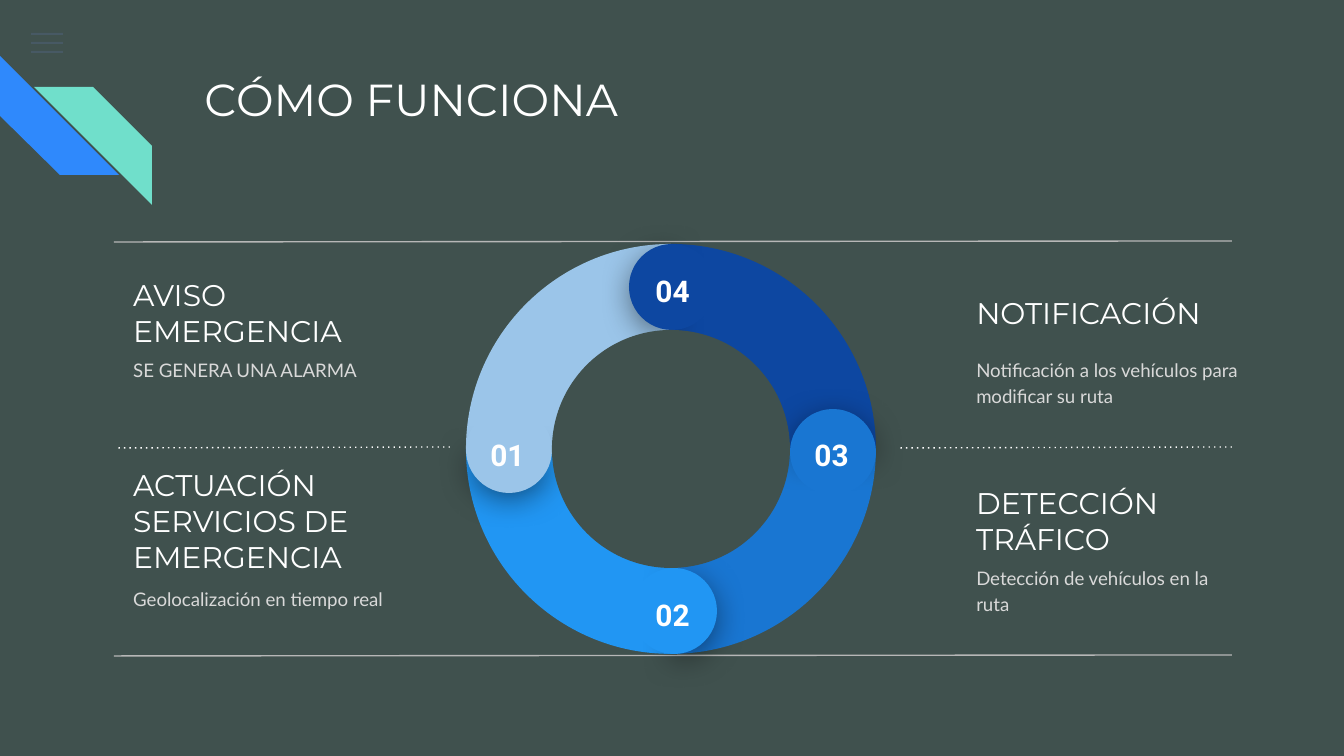
"""Build the "Cómo funciona" slide: a four-step ring with its descriptions."""
from math import cos, radians, sin, tan
from typing import NamedTuple

from lxml import etree
from pptx import Presentation
from pptx.dml.color import RGBColor
from pptx.enum.dml import MSO_LINE
from pptx.enum.shapes import MSO_CONNECTOR, MSO_SHAPE
from pptx.enum.text import MSO_ANCHOR, MSO_AUTO_SIZE, PP_ALIGN
from pptx.oxml.ns import qn
from pptx.util import Pt

PX = 914400 / 134.4
OVAL, RECTANGLE = MSO_SHAPE.OVAL, MSO_SHAPE.RECTANGLE
STRAIGHT, DOT = MSO_CONNECTOR.STRAIGHT, MSO_LINE.ROUND_DOT
TOP, MIDDLE = MSO_ANCHOR.TOP, MSO_ANCHOR.MIDDLE
LEFT, CENTER = PP_ALIGN.LEFT, PP_ALIGN.CENTER
COLORS = {
    "background": "40514E", "white": "FFFFFF", "body": "D9D9D9",
    "rule": "B7B7B7", "menu": "55688B", "blue": "2F89FC", "mint": "70DFCB",
    "01": "9BC5E9", "02": "2196F3", "03": "1976D2", "04": "0D47A1",
}
RING_CENTER, RING_RADIUS = (671, 449), 205
CAP_RADIUS, SHADOW_RADIUS, HOLE_RADIUS = 43, 40, 119


class TextStyle(NamedTuple):
    size: int
    font: str
    color: str
    anchor: MSO_ANCHOR = TOP
    align: PP_ALIGN = LEFT
    bold: bool = False
    spacing: float = 1.0


class Label(NamedTuple):
    text: str
    box: tuple[int, int, int, int]
    style: TextStyle


class Rule(NamedTuple):
    start: tuple[int, int]
    end: tuple[int, int]
    color: str
    dotted: bool = False


class Segment(NamedTuple):
    number: str
    start_angle: int
    cap_center: tuple[int, int]
    label_corner: tuple[int, int]


TITLE = TextStyle(24, "Montserrat", "white")
HEADING = TextStyle(16, "Montserrat", "white", MIDDLE)
BODY = TextStyle(10, "Lato", "body", spacing=1.15)
NUMBER = TextStyle(16, "Roboto", "white", align=CENTER, bold=True)

LABELS = [
    Label("AVISO EMERGENCIA", (120, 282, 334, 62), HEADING),
    Label("ACTUACIÓN SERVICIOS DE EMERGENCIA", (120, 454, 334, 133), HEADING),
    Label("NOTIFICACIÓN", (963, 282, 328, 62), HEADING),
    Label("DETECCIÓN TRÁFICO", (963, 472, 223, 98), HEADING),
    Label("SE GENERA UNA ALARMA", (120, 342, 293, 50), BODY),
    Label("Geolocalización en tiempo real", (120, 571, 293, 50), BODY),
    Label("Notificación a los vehículos para modificar su ruta", (963, 342, 293, 75), BODY),
    Label("Detección de vehículos en la ruta", (963, 550, 293, 75), BODY),
]
RULES = [
    Rule((1232, 241), (114, 242), "rule"),
    Rule((450, 447), (115, 448), "white", True),
    Rule((1232, 447), (897, 448), "white", True),
    Rule((1232, 655), (114, 656), "rule"),
]
SEGMENTS = [
    Segment("01", 180, (509, 450), (470, 423)),
    Segment("04", 270, (672, 287), (635, 259)),
    Segment("03", 0, (833, 452), (794, 423)),
    Segment("02", 90, (674, 611), (635, 583)),
]


def emu(*lengths: float) -> list[int]:
    """Turn px lengths into EMU."""
    return [round(length * PX) for length in lengths]


def rgb(name: str) -> RGBColor:
    """Look a colour up by name."""
    return RGBColor.from_string(COLORS[name])


def paint(shape, color: str) -> None:
    """Give a shape a flat fill without outline or shadow."""
    shape.shadow.inherit = False
    shape.fill.solid()
    shape.fill.fore_color.rgb = rgb(color)
    shape.line.fill.background()


def add_preset(slide, kind: MSO_SHAPE, box: tuple[int, int, int, int], color: str):
    """Add a flat preset shape."""
    shape = slide.shapes.add_shape(kind, *emu(*box))
    paint(shape, color)
    return shape


def add_disc(slide, center: tuple[int, int], radius: int, color: str) -> None:
    """Add a circle around a centre."""
    x, y = center
    add_preset(slide, OVAL, (x - radius, y - radius, 2 * radius, 2 * radius), color)


def add_outline(slide, points: list[tuple[float, float]], color: str, curves: int = 0):
    """Add a closed flat outline whose first sides may be Bézier curves."""
    first, *others = [emu(*point) for point in points]
    builder = slide.shapes.build_freeform(*first, scale=1.0)
    builder.add_line_segments(others, close=True)
    shape = builder.convert_to_shape()
    paint(shape, color)
    sides = shape._element.findall(".//" + qn("a:lnTo"))
    for index in range(curves):
        group = sides[3 * index:3 * index + 3]
        curve = etree.Element(qn("a:cubicBezTo"))
        group[0].addprevious(curve)
        for side in group:
            curve.append(side[0])
            side.getparent().remove(side)
    return shape


def quarter(center: tuple[int, int], radius: int, start: int) -> list[tuple[float, float]]:
    """Give the four Bézier points of a clockwise quarter circle."""
    x, y = center
    handle = 4 / 3 * tan(radians(22.5))
    across, down = cos(radians(start)), sin(radians(start))
    weights = [(1, 0), (1, handle), (handle, 1), (0, 1)]
    return [(x + radius * (a * across - b * down), y + radius * (a * down + b * across))
            for a, b in weights]


def add_cap_shadow(shape) -> None:
    """Add a soft black shadow falling downwards."""
    effects = shape._element.spPr.find(qn("a:effectLst"))
    shadow = etree.SubElement(effects, qn("a:outerShdw"), blurRad=str(Pt(18)),
                              dist=str(Pt(4)), dir="5400000", algn="bl", rotWithShape="0")
    color = etree.SubElement(shadow, qn("a:srgbClr"), val="000000")
    etree.SubElement(color, qn("a:alpha"), val="55000")


def write_text(shape, label: Label) -> None:
    """Place a text shape and fill it with one styled run."""
    style = label.style
    shape.left, shape.top, shape.width, shape.height = emu(*label.box)
    frame = shape.text_frame
    frame.word_wrap, frame.auto_size = True, MSO_AUTO_SIZE.NONE
    frame.vertical_anchor = style.anchor
    frame.margin_left = frame.margin_right = frame.margin_top = frame.margin_bottom = Pt(7.2)
    paragraph = frame.paragraphs[0]
    paragraph.alignment, paragraph.line_spacing = style.align, style.spacing
    paragraph.space_before = Pt(0)
    run = paragraph.add_run()
    run.text = label.text
    run.font.size, run.font.name, run.font.bold = Pt(style.size), style.font, style.bold
    run.font.color.rgb = rgb(style.color)


def add_label(slide, label: Label) -> None:
    """Add a text box."""
    write_text(slide.shapes.add_textbox(*emu(*label.box)), label)


def add_rule(slide, rule: Rule) -> None:
    """Add a thin line, dotted on request."""
    connector = slide.shapes.add_connector(STRAIGHT, *emu(*rule.start, *rule.end))
    connector.line.color.rgb = rgb(rule.color)
    connector.line.width = Pt(0.75)
    properties = connector._element.spPr
    if rule.dotted:
        connector.line.dash_style = DOT
        properties.find(".//" + qn("a:prstDash")).set("val", "dot")
    etree.SubElement(properties.find(qn("a:ln")), qn("a:round"))
    etree.SubElement(properties, qn("a:effectLst"))


def add_cap(slide, segment: Segment) -> None:
    """Add the rounded, numbered end of a ring segment."""
    center, start = segment.cap_center, segment.start_angle - 180
    half = quarter(center, SHADOW_RADIUS, start) + quarter(center, SHADOW_RADIUS, start + 90)[1:]
    add_cap_shadow(add_outline(slide, half, segment.number, curves=2))
    add_disc(slide, center, CAP_RADIUS, segment.number)
    add_label(slide, Label(segment.number, (*segment.label_corner, 75, 62), NUMBER))


def main() -> None:
    """Build and save the presentation."""
    presentation = Presentation()
    presentation.slide_width, presentation.slide_height = emu(1344, 756)
    slide = presentation.slides.add_slide(presentation.slide_layouts[5])
    slide.background.fill.solid()
    slide.background.fill.fore_color.rgb = rgb("background")
    for top in (33, 42, 51):
        bar = add_preset(slide, RECTANGLE, (31, top, 32, 2), "menu")
        etree.SubElement(bar._element.spPr.find(".//" + qn("a:srgbClr")), qn("a:alpha"), val="36000")
    add_outline(slide, [(60, 175), (0, 116), (0, 56), (119, 175)], "blue")
    add_outline(slide, [(152, 146), (93, 87), (34, 87), (152, 205)], "mint")
    write_text(slide.shapes.title, Label("CÓMO FUNCIONA", (191, 58, 1035, 134), TITLE))
    for label in LABELS:
        add_label(slide, label)
    for rule in RULES:
        add_rule(slide, rule)
    for segment in SEGMENTS:
        edge = quarter(RING_CENTER, RING_RADIUS, segment.start_angle)
        add_outline(slide, [*edge, RING_CENTER], segment.number, curves=1)
    for segment in sorted(SEGMENTS):
        add_cap(slide, segment)
    add_disc(slide, RING_CENTER, HOLE_RADIUS, "background")
    presentation.save("out.pptx")


if __name__ == "__main__":
    main()
